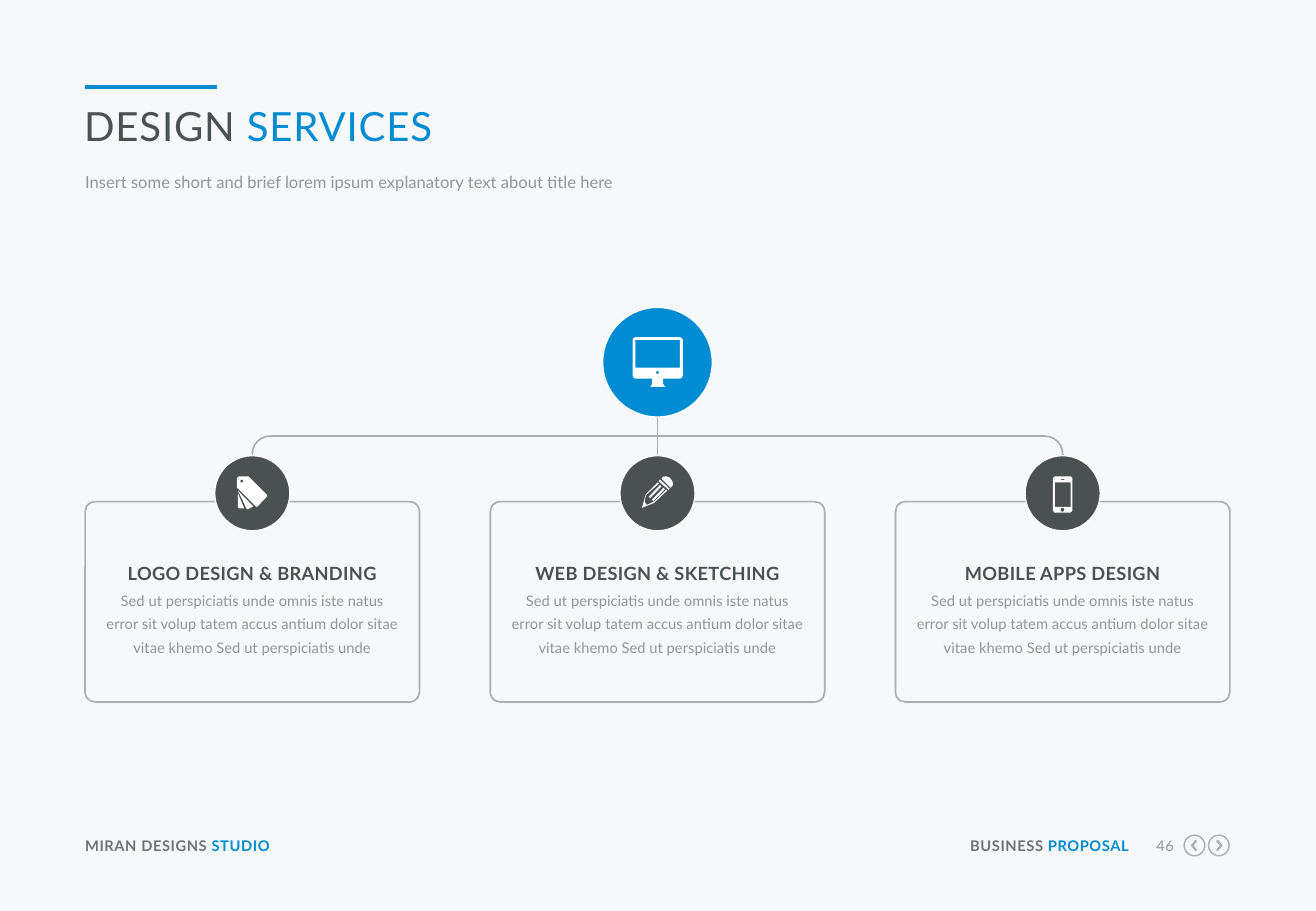
from math import cos, pi, sin

from lxml import etree
from pptx import Presentation
from pptx.dml.color import RGBColor
from pptx.enum import shapes, text
from pptx.oxml import ns
from pptx.util import Cm, Pt

BLUE = RGBColor(0x00, 0x8C, 0xD2)
DARK = RGBColor(0x4B, 0x50, 0x50)
FOOTER = RGBColor(0x6E, 0x73, 0x78)
GRAY = RGBColor(0x91, 0x96, 0x9B)
LINE = RGBColor(0xAA, 0xAF, 0xB4)
WHITE = RGBColor(0xFF, 0xFF, 0xFF)
BACKGROUND = RGBColor(0xF6, 0xF8, 0xFA)

MARGIN = 1.78
CARD_W, CARD_H, CARD_TOP, CARD_PITCH = 6.99, 4.19, 10.49, 8.47
BADGE, BADGE_TOP = 1.57, 9.53
ROOT, ROOT_TOP = 2.29, 6.43
BUS_Y, ARC = 9.12, 0.74
BODY = ("Sed ut perspiciatis unde omnis iste natus error sit volup tatem accus "
        "antium dolor sitae vitae khemo Sed ut perspiciatis unde")


def box(left, top, right, bottom, cut=0):
    return [(left, top + cut), (left + cut, top), (right - cut, top), (right, top + cut),
            (right, bottom - cut), (right - cut, bottom), (left + cut, bottom), (left, bottom - cut)]


def circle(cx, cy, radius, steps=32):
    angles = [2 * pi * i / steps for i in range(steps)]
    return [(cx + radius * cos(a), cy + radius * sin(a)) for a in angles]


MONITOR = [
    [(0, .06), (.02, .02), (.06, 0), (.99, 0), (1.03, .02), (1.05, .06), (1.05, .8),
     (1.03, .85), (.99, .87), (.64, .87), (.64, .98), (.68, 1.04), (.37, 1.04),
     (.41, .98), (.41, .87), (.06, .87), (.02, .85), (0, .8)],
    box(.06, .06, .99, .64),
    circle(.52, .74, .03),
]
SWATCHES = [
    [(0, .24), (0, .04), (.04, 0), (.23, 0), (.26, .02), (.63, .39), (.63, .42),
     (.42, .64), (.39, .63), (.02, .26)],
    circle(.1, .1, .03),
    [(.02, .3), (.34, .63), (.23, .69), (.2, .68)],
    [(.02, .36), (.15, .67), (.05, .67), (.02, .65)],
]
PENCIL = [
    [(0, .66), (.08, .38), (.33, .13), (.36, .15), (.1, .38), (.08, .42), (.06, .5),
     (.06, .54), (.1, .6), (.25, .53), (.51, .28), (.53, .3), (.25, .56)],
    [(.14, .43), (.38, .18), (.41, .21), (.17, .46)],
    [(.21, .49), (.45, .24), (.48, .27), (.24, .52)],
    [(.35, .1), (.38, .07), (.58, .26), (.56, .29)],
    [(.41, .05), (.44, .01), (.5, 0), (.57, .02), (.63, .09), (.65, .15), (.64, .2), (.6, .24)],
]
PHONE = [
    box(0, 0, .41, .76, .04),
    box(.04, .13, .37, .64),
    circle(.2, .7, .04),
    box(.17, .06, .24, .08),
]
SERVICES = [
    ("LOGO DESIGN & BRANDING", SWATCHES, .64),
    ("WEB DESIGN & SKETCHING", PENCIL, .65),
    ("MOBILE APPS DESIGN", PHONE, .41),
]


def add_run(p, content, *, size, color, bold=False, spacing=0):
    r = p.add_run()
    r.text = content
    r.font.name = "Lato"
    r.font.size = Pt(size)
    r.font.bold = bold
    r.font.color.rgb = color
    if spacing:
        r._r.get_or_add_rPr().set("spc", str(round(spacing * 100)))


def add_text(slide, left, top, width, height, runs, align=text.PP_ALIGN.LEFT,
             leading=None, after=None, **style):
    sp = slide.shapes.add_textbox(Cm(left), Cm(top), Cm(width), Cm(height))
    tf = sp.text_frame
    tf.word_wrap = True
    tf.margin_left = tf.margin_right = tf.margin_top = tf.margin_bottom = 0
    p = tf.paragraphs[0]
    p.alignment = align
    if leading:
        p.line_spacing = Pt(leading)
    if after:
        p.space_after = Pt(after)
    for content, color in runs:
        add_run(p, content, color=color, **style)


def add_line(slide, x1, y1, x2, y2, color=LINE, width=1):
    line = slide.shapes.add_connector(
        shapes.MSO_CONNECTOR.STRAIGHT, Cm(x1), Cm(y1), Cm(x2), Cm(y2))
    line.line.color.rgb = color
    line.line.width = Pt(width)
    etree.SubElement(line._element.spPr, ns.qn("a:effectLst"))


def add_shape(slide, kind, left, top, width, height, fill=None, line=LINE, weight=1, adjust=()):
    sp = slide.shapes.add_shape(kind, Cm(left), Cm(top), Cm(width), Cm(height))
    sp.shadow.inherit = False
    for i, value in enumerate(adjust):
        sp.adjustments[i] = value
    if fill is None:
        sp.fill.background()
    else:
        sp.fill.solid()
        sp.fill.fore_color.rgb = fill
    sp.line.color.rgb = line
    sp.line.width = Pt(weight)


def add_disc(slide, cx, top, size, fill):
    add_shape(slide, shapes.MSO_SHAPE.OVAL, cx - size / 2, top, size, size, fill, WHITE, 0.75)


def add_icon(slide, left, top, contours, color=WHITE):
    builder = None
    for contour in contours:
        points = [(x * 1000, y * 1000) for x, y in contour]
        if builder is None:
            builder = slide.shapes.build_freeform(*points[0], scale=Cm(0.001))
        else:
            builder.move_to(*points[0])
        builder.add_line_segments(points[1:], close=True)
    sp = builder.convert_to_shape(Cm(left), Cm(top))
    sp.shadow.inherit = False
    sp.fill.solid()
    sp.fill.fore_color.rgb = color
    sp.line.fill.background()


def add_nav_button(slide, cx, cy, direction):
    chevron = [(.08, 0), (-.02, -.12), (-.06, -.09), (.02, 0), (-.06, .09), (-.02, .12)]
    add_icon(slide, cx, cy, [circle(0, 0, .23), circle(0, 0, .2),
                             [(direction * x, y) for x, y in chevron]], LINE)


def add_header(slide):
    add_line(slide, MARGIN, 1.82, 4.54, 1.82, BLUE, 2.25)
    add_text(slide, 1.76, 2.13, 23.93, 1.04, [("DESIGN", DARK), (" SERVICES", BLUE)],
             size=23.8, spacing=0.5)
    add_text(slide, MARGIN, 3.56, 23.93, 0.53,
             [("Insert some short and brief lorem ipsum explanatory text about title here", GRAY)],
             leading=13, size=9.8)


def add_footer(slide):
    right = text.PP_ALIGN.RIGHT
    label = dict(size=8.7, spacing=0.3)
    add_text(slide, MARGIN, 17.5, 5.36, 0.38, [("MIRAN DESIGNS ", FOOTER), ("STUDIO", BLUE)],
             bold=True, **label)
    add_text(slide, 20.12, 17.5, 3.48, 0.38, [("BUSINESS ", FOOTER), ("PROPOSAL", BLUE)],
             align=right, bold=True, **label)
    add_text(slide, 23.9, 17.5, 0.64, 0.38, [("46", GRAY)], align=right, **label)
    add_nav_button(slide, 24.97, 17.68, -1)
    add_nav_button(slide, 25.48, 17.68, 1)


def add_tree(slide, centers):
    first, middle, last = centers
    for end, inward, angles in ((first, 1, (108, 162)), (last, -1, (162, 0))):
        arc_left = min(end, end + inward * ARC)
        add_shape(slide, shapes.MSO_SHAPE.ARC, arc_left, BUS_Y, ARC, ARC, adjust=angles)
        add_line(slide, end, BUS_Y + ARC / 2, end, BADGE_TOP + 0.1)
        add_line(slide, end + inward * ARC / 2, BUS_Y, middle, BUS_Y)
    add_line(slide, middle, ROOT_TOP + ROOT, middle, BUS_Y)
    add_line(slide, middle, BUS_Y, middle, BADGE_TOP)
    add_disc(slide, middle, ROOT_TOP, ROOT, BLUE)
    add_icon(slide, middle - 0.52, 7.05, MONITOR)


def add_service(slide, cx, title, icon, icon_width):
    add_shape(slide, shapes.MSO_SHAPE.ROUNDED_RECTANGLE, cx - CARD_W / 2, CARD_TOP,
              CARD_W, CARD_H, adjust=(0.05,))
    add_disc(slide, cx, BADGE_TOP, BADGE, DARK)
    add_icon(slide, cx - icon_width / 2, 9.96, icon)
    centered = dict(align=text.PP_ALIGN.CENTER, after=6.5)
    add_text(slide, cx - 3.06, 11.56, 6.12, 0.64, [(title, DARK)], leading=18.4,
             size=10.8, bold=True, spacing=0.2, **centered)
    add_text(slide, cx - 3.05, 12.24, 6.1, 1.5, [(BODY, GRAY)], leading=14.1,
             size=8.7, **centered)


def main():
    prs = Presentation()
    prs.slide_width, prs.slide_height = Cm(27.51), Cm(19.05)
    slide = prs.slides.add_slide(prs.slide_layouts[6])
    slide.background.fill.solid()
    slide.background.fill.fore_color.rgb = BACKGROUND
    centers = [MARGIN + CARD_W / 2 + i * CARD_PITCH for i in range(len(SERVICES))]
    add_header(slide)
    add_footer(slide)
    add_tree(slide, centers)
    for cx, service in zip(centers, SERVICES):
        add_service(slide, cx, *service)
    prs.save("out.pptx")


if __name__ == "__main__":
    main()
